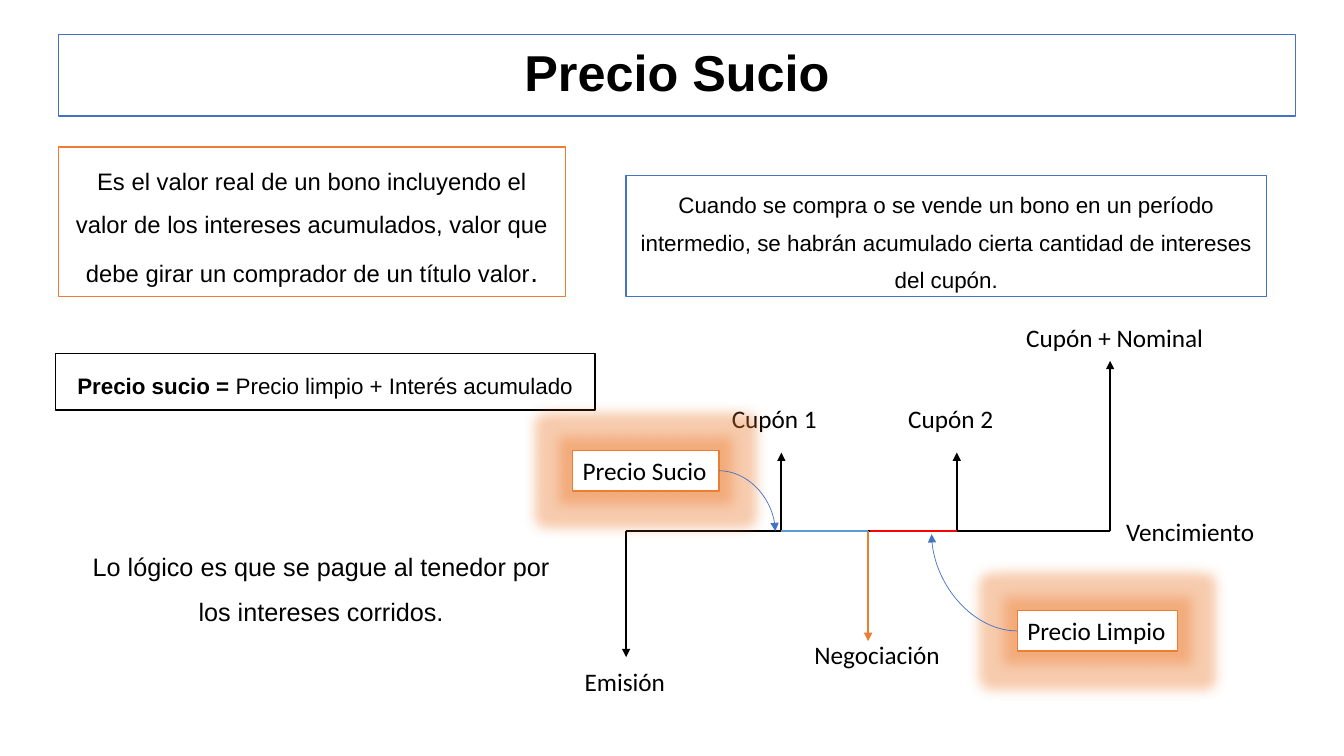
from pptx import Presentation
from pptx.util import Inches, Pt
from pptx.dml.color import RGBColor
from pptx.enum.shapes import MSO_SHAPE as Shape, MSO_CONNECTOR as Link
from pptx.enum.text import MSO_ANCHOR as Anchor, MSO_AUTO_SIZE as Fit, PP_ALIGN as Align
from pptx.oxml import parse_xml
from pptx.oxml.ns import nsdecls, qn

BLACK, WHITE, RED = "000000", "FFFFFF", "FF0000"
BLUE, SKY, ORANGE = "4472C4", "5B9BD5", "ED7D31"
AXIS = 5.27
START, CUT, END = 6.21, 8.61, 11.01
PAY1, PAY2 = 7.75, 9.49


def rgb(code):
    """Turn a hex string into a colour."""
    return RGBColor.from_string(code)


def node(tag, inner="", attrs=""):
    """Make a DrawingML element."""
    return parse_xml(f"<a:{tag} {nsdecls('a')} {attrs}>{inner}</a:{tag}>")


def write(shape, parts, font, gap=1.0, before=0, align=Align.LEFT):
    """Fill a shape with one paragraph of (text, size, bold) parts."""
    para = shape.text_frame.paragraphs[0]
    para.alignment, para.line_spacing = align, gap
    para.space_before = Pt(before)
    for text, size, bold in parts:
        run = para.add_run()
        run.text = text
        run.font.name, run.font.size, run.font.bold = font, Pt(size), bold
        run.font.color.rgb = rgb(BLACK)


def frame(slide, box, edge):
    """Add a white rectangle with a thin coloured edge."""
    shape = slide.shapes.add_shape(Shape.RECTANGLE, *map(Inches, box))
    shape.fill.solid()
    shape.fill.fore_color.rgb = rgb(WHITE)
    shape.line.color.rgb = rgb(edge)
    shape.line.width = Pt(1)
    shape.shadow.inherit = False
    shape.text_frame.word_wrap = True
    return shape


def panel(slide, box, edge, parts, gap, before, anchor=Anchor.TOP):
    """Add a framed, centred statement."""
    shape = frame(slide, box, edge)
    shape.text_frame.vertical_anchor = anchor
    write(shape, parts, "Arial", gap, before, Align.CENTER)


def fit(shape, text):
    """Write a diagram label on one line."""
    shape.text_frame.word_wrap = False
    shape.text_frame.auto_size = Fit.SHAPE_TO_FIT_TEXT
    shape.text_frame.vertical_anchor = Anchor.TOP
    write(shape, [(text, 18, False)], "Calibri")


def label(slide, x, y, width, text):
    """Add a plain diagram label."""
    fit(slide.shapes.add_textbox(*map(Inches, (x, y, width, 0.4))), text)


def badge(slide, x, y, width, text):
    """Add a framed label with an orange glow."""
    shape = frame(slide, (x, y, width, 0.4), ORANGE)
    fit(shape, text)
    tint = f'<a:srgbClr val="{ORANGE}"><a:alpha val="40000"/></a:srgbClr>'
    glow = node("glow", tint, f'rad="{Pt(18)}"')
    shape._element.spPr.find(qn("a:effectLst")).append(glow)


def link(slide, start, end, color=BLACK, width=1.5, head=True, curve=False):
    """Join two points with a straight line or a curve."""
    kind = Link.CURVE if curve else Link.STRAIGHT
    line = slide.shapes.add_connector(kind, *map(Inches, start + end))
    line.line.color.rgb = rgb(color)
    line.line.width = Pt(width)
    props = line._element.spPr
    if curve:
        props.find(qn("a:prstGeom")).set("prst", "curvedConnector2")
    if head:
        props.find(qn("a:ln")).append(node("tailEnd", attrs='type="triangle"'))
    props.append(node("effectLst"))


def texts(slide):
    """Add the title and the statements."""
    panel(slide, (0.58, 0.34, 12.27, 0.81), BLUE,
          [("Precio Sucio", 36, True)], 0.9, 0, Anchor.MIDDLE)
    panel(slide, (0.58, 1.46, 5.03, 1.48), ORANGE,
          [("Es el valor real de un bono incluyendo el valor de los intereses "
            "acumulados, valor que debe girar un comprador de un título valor",
            17, False), (".", 20, False)], 1.5, 10)
    panel(slide, (0.55, 3.51, 5.35, 0.56), BLACK,
          [("Precio sucio = ", 16, True),
           ("Precio limpio + Interés acumulado", 16, False)], 1.5, 3)
    panel(slide, (6.21, 1.74, 6.35, 1.2), BLUE,
          [("Cuando se compra o se vende un bono en un período intermedio, se "
            "habrán acumulado cierta cantidad de intereses del cupón.",
            16, False)], 1.4, 10)
    note = slide.shapes.add_textbox(*map(Inches, (0.82, 5.27, 4.73, 0.95)))
    note.text_frame.word_wrap = True
    note.text_frame.auto_size = Fit.SHAPE_TO_FIT_TEXT
    write(note, [("Lo lógico es que se pague al tenedor por los intereses "
                  "corridos.", 18, False)], "Arial", 1.5, 4, Align.CENTER)


def flows(slide):
    """Add the time line with its cash flows."""
    link(slide, (START, AXIS), (END, AXIS), head=False)
    for x, tip, color in [(START, 6.52, BLACK), (PAY1, 4.49, BLACK),
                          (PAY2, 4.49, BLACK), (END, 3.58, BLACK),
                          (CUT, 6.36, ORANGE)]:
        link(slide, (x, AXIS), (x, tip), color)
    for left, right, color in [(PAY1, CUT, SKY), (CUT + 0.02, PAY2, RED)]:
        link(slide, (left, AXIS), (right, AXIS), color, head=False)
    for x, y, width, text in [(7.16, 3.95, 1.06, "Cupón 1"),
                              (8.91, 3.95, 1.06, "Cupón 2"),
                              (11.07, 5.07, 1.49, "Vencimiento"),
                              (7.98, 6.29, 1.46, "Negociación"),
                              (10.08, 3.15, 1.98, "Cupón + Nominal"),
                              (5.7, 6.56, 1.01, "Emisión")]:
        label(slide, x, y, width, text)
    badge(slide, 5.68, 4.47, 1.45, "Precio Sucio")
    badge(slide, 10.09, 6.06, 1.59, "Precio Limpio")
    for start, end in [((10.09, 6.26), (9.24, 5.3)),
                       ((7.13, 4.67), (7.69, AXIS))]:
        link(slide, start, end, BLUE, 0.5, curve=True)


def main():
    """Build and save the slide."""
    deck = Presentation()
    deck.slide_width, deck.slide_height = Inches(13.33), Inches(7.5)
    slide = deck.slides.add_slide(deck.slide_layouts[6])
    texts(slide)
    flows(slide)
    deck.save("out.pptx")


main()
